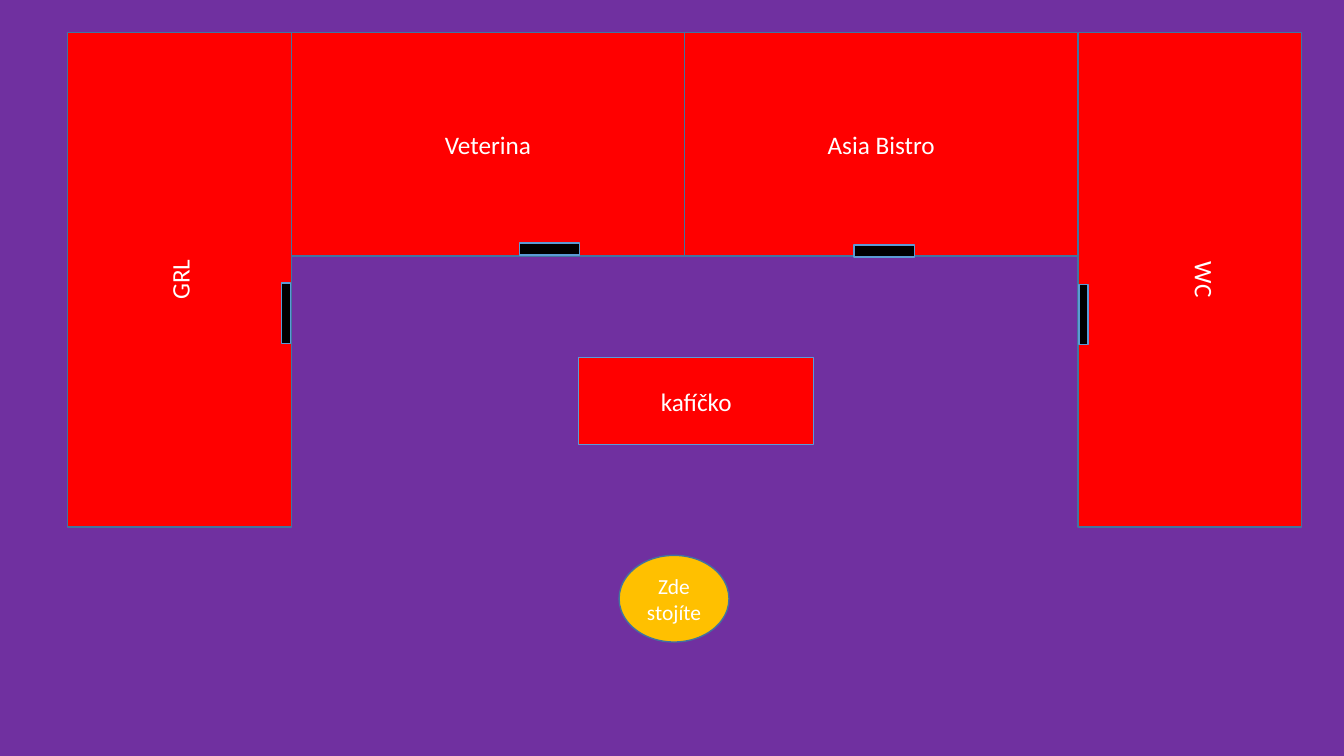
"""Draws a floor plan of a small shopping arcade with a visitor marker."""
from pptx import Presentation
from pptx.dml.color import RGBColor
from pptx.enum.shapes import MSO_SHAPE
from pptx.enum.text import MSO_ANCHOR, PP_ALIGN
from pptx.util import Inches, Pt

RECT, OVAL = MSO_SHAPE.RECTANGLE, MSO_SHAPE.OVAL
MIDDLE, CENTER = MSO_ANCHOR.MIDDLE, PP_ALIGN.CENTER
RED, GOLD, BLACK, WHITE = "FF0000", "FFC000", "000000", "FFFFFF"
PURPLE, STEEL, BLUE = "7030A0", "43739E", "5B9BD5"


def color(code):
    return RGBColor.from_string(code)


class Plan:
    font = "Calibri"
    cell = 0.1

    def __init__(self, deck):
        self.slide = deck.slides.add_slide(deck.slide_layouts[6])
        fill = self.slide.background.fill
        fill.solid()
        fill.fore_color.rgb = color(PURPLE)

    def size(self, cells):
        return Inches(cells * self.cell)

    def block(self, x, y, w, h, fill, edge, kind=RECT, turn=0):
        if turn:
            x, y, w, h = x + (w - h) / 2, y + (h - w) / 2, h, w
        item = self.slide.shapes.add_shape(kind, *map(self.size, (x, y, w, h)))
        item.rotation = turn
        item.shadow.inherit = False
        item.fill.solid()
        item.fill.fore_color.rgb = color(fill)
        item.line.color.rgb = color(edge)
        item.line.width = Pt(1)
        return item

    def label(self, item, text, points=18, lift=0):
        frame = item.text_frame
        frame.word_wrap = True
        frame.vertical_anchor = MIDDLE
        frame.margin_bottom = self.size(0.5 + lift)
        line = frame.paragraphs[0]
        line.alignment = CENTER
        run = line.add_run()
        run.text = text
        run.font.name = self.font
        run.font.size = Pt(points)
        run.font.color.rgb = color(WHITE)

    def room(self, x, y, w, h, text, edge=STEEL, turn=0, lift=0):
        self.label(self.block(x, y, w, h, RED, edge, turn=turn), text, lift=lift)

    def door(self, x, y, w, h):
        self.block(x, y, w, h, BLACK, BLUE)

    def marker(self, x, y, w, h, text):
        self.label(self.block(x, y, w, h, GOLD, STEEL, OVAL), text, 15.3)


deck = Presentation()
deck.slide_width, deck.slide_height = Inches(13.33), Inches(7.5)
plan = Plan(deck)

left, top = 6.7, 3.2
depth, width, wing = 22.2, 39, 49.1
inner = left + depth
middle = inner + width
right = middle + width

plan.room(left, top, depth, wing, "GRL", turn=270)
plan.room(right, top, depth, wing, "WC", turn=90, lift=3)
plan.room(middle, top, width, depth, "Asia Bistro")
plan.room(inner, top, width, depth, "Veterina")
plan.marker(61.4, 55.1, 10.9, 8.6, "Zde stojíte")

gap, thick, slim = 6, 1.2, 0.9
plan.door(51.5, 24.1, gap, thick)
plan.door(right + 0.1, 28.2, slim, gap)
plan.door(inner - 1, 28.1, slim, gap)
plan.door(84.7, 24.3, gap, thick)
plan.room(57.4, 35.5, 23.3, 8.6, "kafíčko", BLUE)

deck.save("out.pptx")
